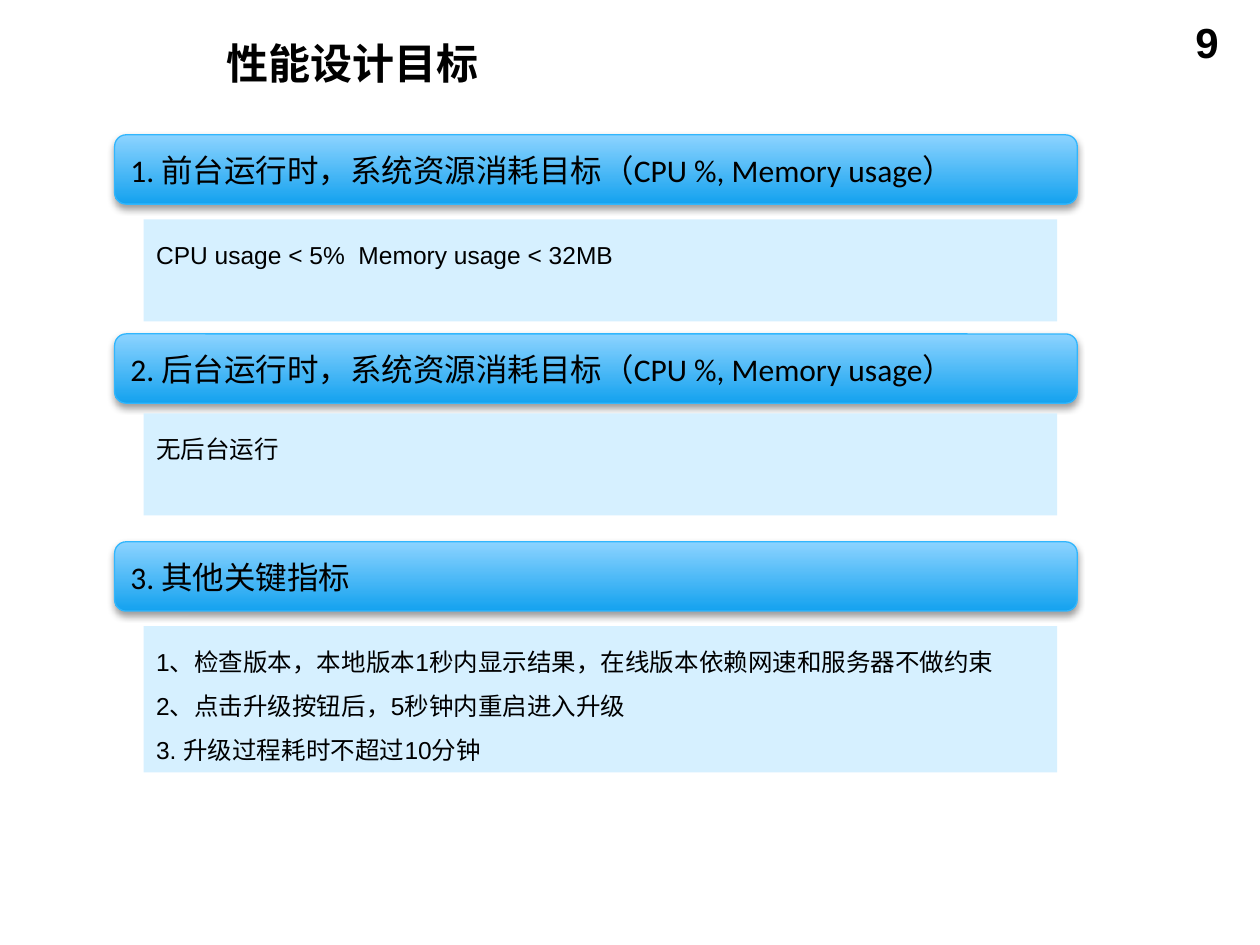
"""Build the performance design goals slide."""
from lxml import etree
from pptx import Presentation
from pptx import util as u
from pptx.dml.color import RGBColor
from pptx.enum import shapes, text
from pptx.oxml.ns import qn

HUES = {"ink": "000000", "top": "8CD3FF", "base": "14A2EF", "edge": "31B6FD", "pale": "D6F0FF"}
TITLE = ("性能设计目标", (1.7, 0.25, 7.63, 0.5))
PAGE = ("9", (7.44, 0.08, 2.33, 0.52))
GOALS = [
    ("1. 前台运行时，系统资源消耗目标（CPU %, Memory usage）", 1.07,
     ["CPU usage < 5%  Memory usage < 32MB"], 1.74, 0.81),
    ("2. 后台运行时，系统资源消耗目标（CPU %, Memory usage）", 2.65,
     ["无后台运行"], 3.28, 0.81),
    ("3. 其他关键指标", 4.3,
     ["1、检查版本，本地版本1秒内显示结果，在线版本依赖网速和服务器不做约束",
      "2、点击升级按钮后，5秒钟内重启进入升级",
      "3. 升级过程耗时不超过10分钟"], 4.97, 1.16),
]
HEAD = {"name": "Calibri", "size": u.Pt(24), "bold": True}
NUM = {**HEAD, "name": "Arial"}
BAR = {"name": "Calibri", "size": u.Pt(18)}
BODY = {"name": "Arial", "size": u.Pt(14)}
LEFT, MID = text.PP_ALIGN.LEFT, text.MSO_ANCHOR.MIDDLE


def hue(key):
    return RGBColor.from_string(HUES[key])


def write(shape, lines, font, side=LEFT, anchor=text.MSO_ANCHOR.TOP, gap=1.0):
    frame = shape.text_frame
    frame.word_wrap = True
    frame.vertical_anchor = anchor
    frame.text = "\n".join(lines)
    for para in frame.paragraphs:
        para.alignment, para.line_spacing = side, gap
        run = para.runs[0]
        for key, val in font.items():
            setattr(run.font, key, val)
        run.font.color.rgb = hue("ink")


def label(slide, words, spot, font, side=LEFT):
    box = slide.shapes.add_textbox(*map(u.Inches, spot))
    write(box, [words], font, side)


def block(slide, kind, spot):
    shape = slide.shapes.add_shape(kind, *map(u.Inches, spot))
    shape.shadow.inherit = False
    return shape


def shade(shape):
    glow = shape._element.spPr.find(qn("a:effectLst"))
    outer = etree.SubElement(glow, qn("a:outerShdw"), blurRad=str(u.Pt(4)), dist=str(u.Pt(2)),
                             dir="5400000", rotWithShape="0")
    tint = etree.SubElement(outer, qn("a:srgbClr"), val=HUES["ink"])
    etree.SubElement(tint, qn("a:alpha"), val="38000")


def bar(slide, words, top):
    shape = block(slide, shapes.MSO_SHAPE.ROUNDED_RECTANGLE, (0.91, top, 7.64, 0.55))
    shape.fill.gradient()
    shape.fill.gradient_angle = 270
    for stop, key in zip(shape.fill.gradient_stops, ("top", "base")):
        stop.color.rgb = hue(key)
    shape.line.color.rgb = hue("edge")
    shape.line.width = u.Pt(0.75)
    shade(shape)
    write(shape, [words], BAR, anchor=MID)


def panel(slide, lines, top, high):
    shape = block(slide, shapes.MSO_SHAPE.RECTANGLE, (1.14, top, 7.25, high))
    shape.fill.solid()
    shape.fill.fore_color.rgb = hue("pale")
    shape.line.fill.background()
    write(shape, lines, BODY, gap=1.5)


def main():
    deck = Presentation()
    deck.slide_width, deck.slide_height = u.Inches(10), u.Inches(7.5)
    slide = deck.slides.add_slide(deck.slide_layouts[6])
    label(slide, *PAGE, NUM, text.PP_ALIGN.RIGHT)
    label(slide, *TITLE, HEAD)
    for words, top, _, _, _ in GOALS:
        bar(slide, words, top)
    for _, _, lines, top, high in reversed(GOALS):
        panel(slide, lines, top, high)
    deck.save("out.pptx")


if __name__ == "__main__":
    main()
